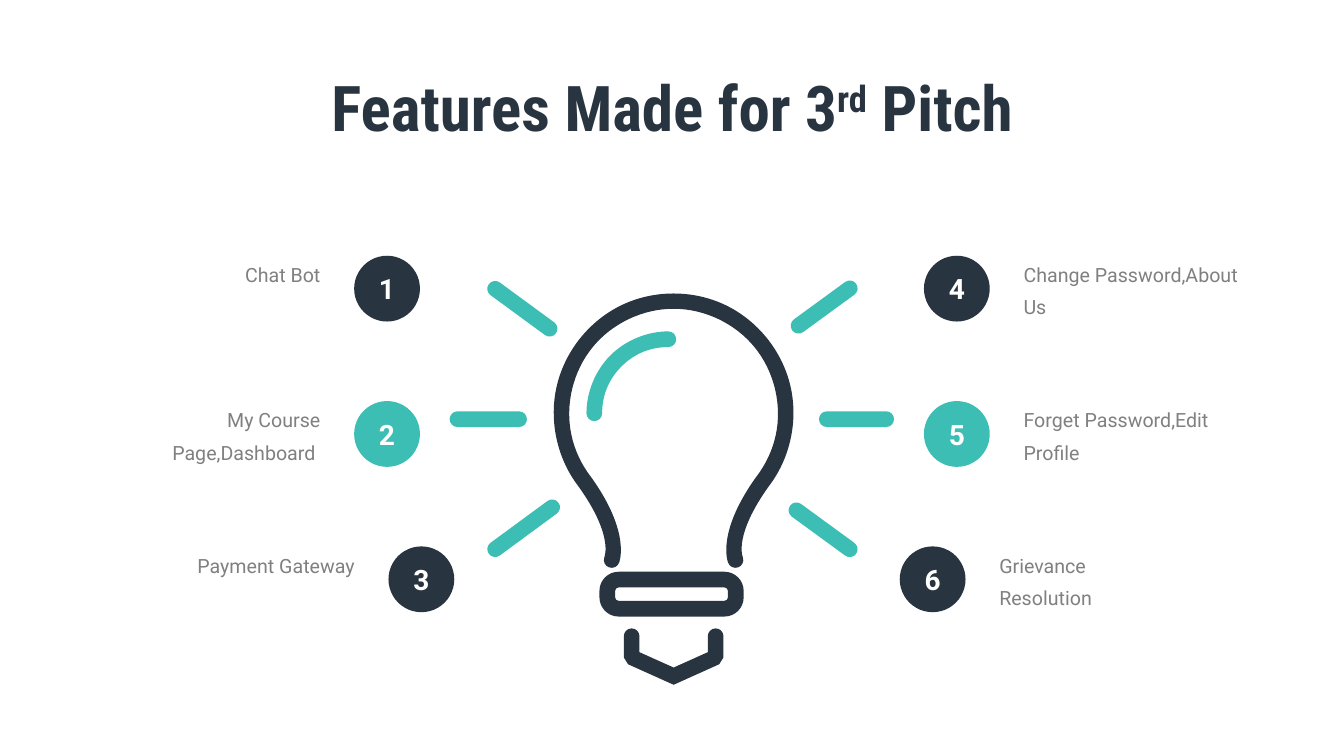
import math

from lxml import etree
from pptx import Presentation
from pptx.dml.color import RGBColor
from pptx.enum.shapes import MSO_SHAPE
from pptx.enum.text import MSO_ANCHOR, MSO_AUTO_SIZE, PP_ALIGN
from pptx.oxml.ns import qn
from pptx.util import Pt

ELLIPSE = MSO_SHAPE.OVAL
MIDDLE = MSO_ANCHOR.MIDDLE
GROW = MSO_AUTO_SIZE.SHAPE_TO_FIT_TEXT
LEFT, CENTER, RIGHT = PP_ALIGN.LEFT, PP_ALIGN.CENTER, PP_ALIGN.RIGHT

COLORS = {"navy": "283440", "teal": "3CBEB4", "gray": "808080", "white": "FFFFFF"}
HALF_STROKE = 5.6
BULB_CENTER = (481.2, 295.2)
BULB_RADIUS = 80.1
NECK_ANGLE = 142.5
NECK_CURVE = [(444.2, 380.9), (437.4, 398.9), (437, 400)]
BADGE_SIZE = 47
BADGE_TOP = 182.7
ROW_STEP = 103.8
LABEL_GAP = 17
LABEL_RISE = 4.5

RAYS = [
    [(353.7, 206.3), (392.6, 234.8)],
    [(326.8, 299.4), (370.8, 299.4)],
    [(353.7, 392.3), (394.4, 362.4)],
    [(570.4, 232.7), (607, 206)],
    [(590.6, 299.4), (633, 299.4)],
    [(568.9, 364.5), (607, 392.3)],
]
FOOT = [(451.2, 454.5), (451.2, 468), (452.5, 470.1), (481.2, 483),
        (509.9, 470.1), (511.2, 468), (511.2, 454.5)]

FEATURES = [
    ("Chat Bot", 0, 253, 168, 28, RIGHT),
    ("My Course Page,Dashboard ", 1, 253, 168, 52, RIGHT),
    ("Payment Gateway", 2, 277.5, 132, 28, RIGHT),
    ("Change Password,About Us", 0, 660, 168, 52, LEFT),
    ("Forget Password,Edit Profile", 1, 660, 178, 52, LEFT),
    ("Grievance Resolution", 2, 642.7, 125, 52, LEFT),
]


def arc(center, radius, start, end, pieces=1):
    step = math.radians(end - start) / pieces
    handle = 4 / 3 * math.tan(step / 4)

    def spot(angle, pull):
        return (center[0] + radius * (math.cos(angle) - pull * math.sin(angle)),
                center[1] + radius * (math.sin(angle) + pull * math.cos(angle)))

    angles = [math.radians(start) + step * i for i in range(pieces + 1)]
    curve = [spot(angles[0], 0)]
    for before, after in zip(angles, angles[1:]):
        curve += [spot(before, handle), spot(after, -handle), spot(after, 0)]
    return curve


def straight(corners):
    line = [corners[0]]
    for (x, y), (next_x, next_y) in zip(corners, corners[1:]):
        line += [(x + (next_x - x) * i / 3, y + (next_y - y) * i / 3) for i in (1, 2, 3)]
    return line


def round_stroke(line, radius=HALF_STROKE):
    headings = [math.atan2(b[1] - a[1], b[0] - a[0]) for a, b in zip(line, line[1:])]
    one_side, other_side = [], []
    for (x, y), before, after in zip(line[1:-1], headings, headings[1:]):
        reach = radius / math.cos((after - before) / 2)
        normal = (before + after) / 2 + math.pi / 2
        dx, dy = reach * math.cos(normal), reach * math.sin(normal)
        one_side.append((x + dx, y + dy))
        other_side.append((x - dx, y - dy))
    first, last = math.degrees(headings[0]), math.degrees(headings[-1])
    start_cap = arc(line[0], radius, first - 90, first - 270, 2)
    end_cap = arc(line[-1], radius, last + 90, last - 90, 2)
    return start_cap + one_side + end_cap + other_side[::-1] + start_cap[:1]


def rounded_box(left, top, width, height, radius):
    right, bottom = left + width - radius, top + height - radius
    left, top = left + radius, top + radius
    contour = arc((right, bottom), radius, 0, 90)
    for i, corner in enumerate([(left, bottom), (left, top), (right, top)], 1):
        turn = arc(corner, radius, 90 * i, 90 * i + 90)
        contour += straight([contour[-1], turn[0]])[1:] + turn[1:]
    return contour


def bulb_line():
    rim = arc(BULB_CENTER, BULB_RADIUS, NECK_ANGLE, 540 - NECK_ANGLE, 5)
    right_neck = [(2 * BULB_CENTER[0] - x, y) for x, y in NECK_CURVE]
    return NECK_CURVE[::-1] + rim + right_neck


def bend_lines(shape):
    lines = shape._element.xpath(".//a:lnTo")
    for i in range(0, len(lines), 3):
        curve = etree.Element(qn("a:cubicBezTo"))
        lines[i].addprevious(curve)
        for line in lines[i:i + 3]:
            curve.append(line[0])
            line.getparent().remove(line)


def write(para, text, size=14, font="Roboto", color="gray", bold=False, baseline=None):
    span = para.add_run()
    span.text = text
    span.font.size = Pt(size)
    span.font.name = font
    span.font.bold = bold
    span.font.color.rgb = RGBColor.from_string(COLORS[color])
    if baseline:
        span.font._element.set("baseline", str(baseline * 1000))


class Sketch:
    def __init__(self, page):
        self.page = page

    def paint(self, shape, color):
        shape.shadow.inherit = False
        shape.fill.solid()
        shape.fill.fore_color.rgb = RGBColor.from_string(COLORS[color])
        shape.line.fill.background()

    def outline(self, contours, color):
        contours = [[(Pt(x), Pt(y)) for x, y in contour] for contour in contours]
        builder = self.page.shapes.build_freeform(*contours[0][0])
        builder.add_line_segments(contours[0][1:], close=True)
        for contour in contours[1:]:
            builder.move_to(*contour[0])
            builder.add_line_segments(contour[1:], close=True)
        shape = builder.convert_to_shape()
        bend_lines(shape)
        self.paint(shape, color)

    def badge(self, number, left, top, color):
        circle = self.page.shapes.add_shape(
            ELLIPSE, Pt(left), Pt(top), Pt(BADGE_SIZE), Pt(BADGE_SIZE))
        self.paint(circle, color)
        frame = circle.text_frame
        frame.margin_left = frame.margin_right = frame.margin_top = frame.margin_bottom = 0
        frame.vertical_anchor = MIDDLE
        para = frame.paragraphs[0]
        para.alignment = CENTER
        write(para, str(number), size=20, color="white", bold=True)

    def text_box(self, left, top, width, height, align, line_spacing=None):
        box = self.page.shapes.add_textbox(Pt(left), Pt(top), Pt(width), Pt(height))
        box.text_frame.word_wrap = True
        box.text_frame.auto_size = GROW
        para = box.text_frame.paragraphs[0]
        para.alignment = align
        if line_spacing:
            para.line_spacing = Pt(line_spacing)
        return para


def main():
    deck = Presentation()
    deck.slide_width, deck.slide_height = Pt(960), Pt(540)
    sketch = Sketch(deck.slides.add_slide(deck.slide_layouts[6]))

    title = sketch.text_box(0, 45.4, 960, 62, CENTER)
    for text, baseline in (("Features Made for 3", None), ("rd", 30), (" Pitch", None)):
        write(title, text, size=45, font="Roboto Condensed", color="navy",
              bold=True, baseline=baseline)

    glint = arc((477.4, 295.2), 52.9, 180, 270, 2)
    sketch.outline([round_stroke(glint)], "teal")
    sketch.outline([round_stroke(bulb_line())], "navy")
    socket = rounded_box(428.2, 408.4, 103, 32, 13.7)
    opening = rounded_box(439.4, 419.6, 80.6, 9.6, 2.5)
    sketch.outline([socket, opening], "navy")
    sketch.outline([round_stroke(straight(FOOT))], "navy")
    for ray in RAYS:
        sketch.outline([round_stroke(straight(ray))], "teal")

    for number, (text, row, left, width, height, align) in enumerate(FEATURES, 1):
        top = BADGE_TOP + row * ROW_STEP
        sketch.badge(number, left, top, "teal" if row == 1 else "navy")
        if align == RIGHT:
            label_left = left - LABEL_GAP - width
        else:
            label_left = left + BADGE_SIZE + LABEL_GAP
        write(sketch.text_box(label_left, top - LABEL_RISE, width, height, align, 23), text)

    deck.save("out.pptx")


if __name__ == "__main__":
    main()
